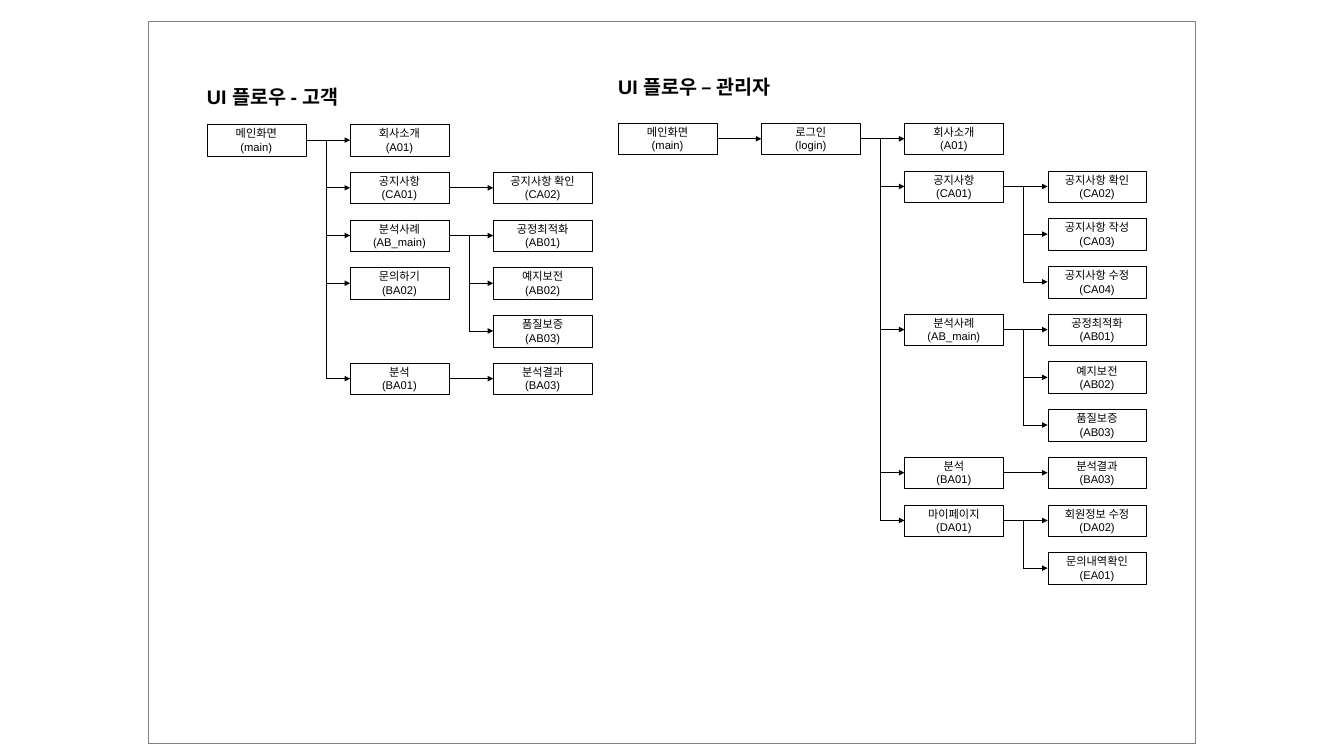
import pptx
import pptx.util
import pptx.dml.color
import pptx.enum.shapes
import pptx.enum.text
import pptx.oxml.ns
from lxml import etree
from pptx.util import Inches

BOX_W, BOX_H = 1.47, 0.47
COL_STEP, ROW_STEP = 2.13, 0.71
TRUNK_GAP = 0.36  # from a trunk line to the boxes on its right
TOP, LEFT, RIGHT = 0, 1, 3

# Each screen: name, code, row, next screens
CUSTOMER = ("메인화면", "main", 0, [
    ("회사소개", "A01", 0, []),
    ("공지사항", "CA01", 1, [("공지사항 확인", "CA02", 1, [])]),
    ("분석사례", "AB_main", 2, [
        ("공정최적화", "AB01", 2, []),
        ("예지보전", "AB02", 3, []),
        ("품질보증", "AB03", 4, []),
    ]),
    ("문의하기", "BA02", 3, []),
    ("분석", "BA01", 5, [("분석결과", "BA03", 5, [])]),
])

ADMIN = ("메인화면", "main", 0, [("로그인", "login", 0, [
    ("회사소개", "A01", 0, []),
    ("공지사항", "CA01", 1, [
        ("공지사항 확인", "CA02", 1, []),
        ("공지사항 작성", "CA03", 2, []),
        ("공지사항 수정", "CA04", 3, []),
    ]),
    ("분석사례", "AB_main", 4, [
        ("공정최적화", "AB01", 4, []),
        ("예지보전", "AB02", 5, []),
        ("품질보증", "AB03", 6, []),
    ]),
    ("분석", "BA01", 7, [("분석결과", "BA03", 7, [])]),
    ("마이페이지", "DA01", 8, [
        ("회원정보 수정", "DA02", 8, []),
        ("문의내역확인", "EA01", 9, []),
    ]),
])])


def rgb(value):
    return pptx.dml.color.RGBColor.from_string(value)


def add_rect(s, x, y, w, h, line, fill=None):
    rect = s.shapes.add_shape(pptx.enum.shapes.MSO_SHAPE.RECTANGLE,
                              Inches(x), Inches(y), Inches(w), Inches(h))
    rect.shadow.inherit = False
    if fill:
        rect.fill.solid()
        rect.fill.fore_color.rgb = rgb(fill)
    else:
        rect.fill.background()
    rect.line.color.rgb = rgb(line)
    rect.line.width = pptx.util.Pt(0.25)
    return rect


def add_line(s, x1, y1, x2, y2, arrow=False):
    line = s.shapes.add_connector(pptx.enum.shapes.MSO_CONNECTOR.STRAIGHT,
                                  Inches(x1), Inches(y1), Inches(x2), Inches(y2))
    line.line.color.rgb = rgb("000000")
    line.line.width = pptx.util.Pt(0.75)
    if arrow:
        etree.SubElement(line.line._get_or_add_ln(),
                         pptx.oxml.ns.qn("a:tailEnd"), type="triangle")
    etree.SubElement(line._element.spPr, pptx.oxml.ns.qn("a:effectLst"))
    return line


def format_font(p, size, bold=False):
    p.font.name = "Arial"
    p.font.size = pptx.util.Pt(size)
    p.font.bold = bold
    p.font.color.rgb = rgb("000000")


def format_heading(sp, text, x, y):
    sp.left, sp.top, sp.width, sp.height = map(Inches, (x, y, 3.19, 0.45))
    tf = sp.text_frame
    tf.text = text
    tf.word_wrap = True
    tf.auto_size = pptx.enum.text.MSO_AUTO_SIZE.SHAPE_TO_FIT_TEXT
    tf.vertical_anchor = pptx.enum.text.MSO_ANCHOR.TOP
    tf.margin_left, tf.margin_right = 0, Inches(0.1)
    tf.margin_top = tf.margin_bottom = Inches(0.05)
    p = tf.paragraphs[0]
    p.alignment = pptx.enum.text.PP_ALIGN.LEFT
    format_font(p, 21, bold=True)


def add_screen(s, x, y, name, code):
    box = add_rect(s, x, y, BOX_W, BOX_H, "000000", "FFFFFF")
    tf = box.text_frame
    tf.text = f"{name}\n({code})"
    tf.vertical_anchor = pptx.enum.text.MSO_ANCHOR.MIDDLE
    for p in tf.paragraphs:
        p.alignment = pptx.enum.text.PP_ALIGN.CENTER
        format_font(p, 12)
    return box


def add_flow(s, screen, x, top):
    """Draws a screen with everything after it and returns its box."""
    name, code, row, children = screen
    box = add_screen(s, x, top + row * ROW_STEP, name, code)
    child_x = x + COL_STEP
    trunk_x = child_x - TRUNK_GAP

    def middle(r):
        return top + r * ROW_STEP + BOX_H / 2

    # Arrows to the next screens
    for child in children:
        child_box = add_flow(s, child, child_x, top)
        same_row = child[2] == row
        start_x = x + BOX_W if same_row else trunk_x
        y = middle(child[2])
        arrow = add_line(s, start_x, y, child_x, y, arrow=True)
        if same_row:
            arrow.begin_connect(box, RIGHT)
        arrow.end_connect(child_box, LEFT)

    # Trunk down to the last branch
    if children and children[-1][2] > row:
        add_line(s, trunk_x, middle(row), trunk_x, middle(children[-1][2]))
    return box


def main():
    prs = pptx.Presentation()
    prs.slide_width, prs.slide_height = Inches(20), Inches(11.25)
    s = prs.slides.add_slide(prs.slide_layouts[5])

    # Page frame
    add_rect(s, 2.2, 0.31, 15.59, 10.75, "808080")

    # Customer flow
    format_heading(s.shapes.title, "UI 플로우 - 고객", 3.08, 1.21)
    add_flow(s, CUSTOMER, 3.08, 1.85)

    # Administrator flow
    heading = s.shapes.add_textbox(0, 0, 0, 0)
    format_heading(heading, "UI 플로우 – 관리자", 9.2, 1.06)
    add_flow(s, ADMIN, 9.2, 1.83)

    prs.save("out.pptx")


if __name__ == "__main__":
    main()
